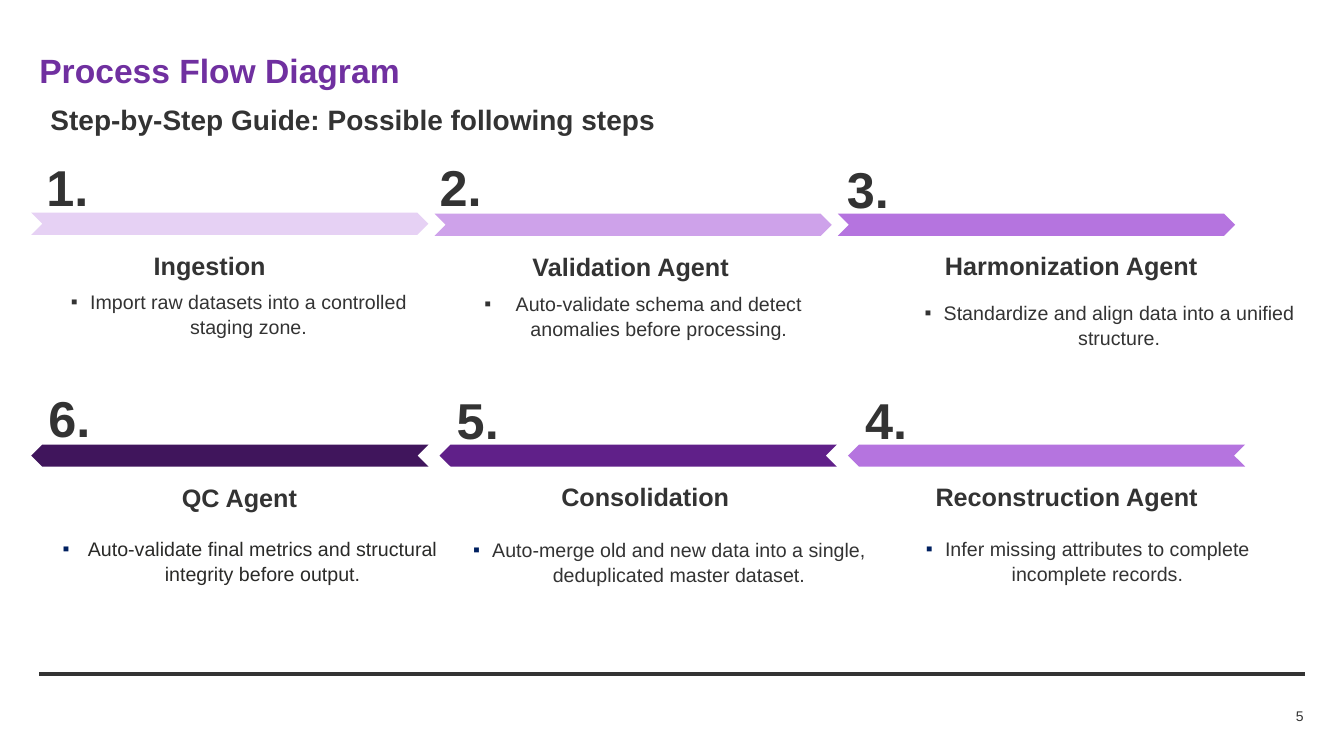
from dataclasses import dataclass

from lxml import etree
from pptx import Presentation
from pptx import util as u
from pptx.dml.color import RGBColor
from pptx.enum import shapes, text
from pptx.oxml import ns

PX = 9144  # EMU per px, 100 px to the inch
FONT = "Arial"
INK = "333333"
NAVY = "002060"
LEFT, MID, RIGHT = text.PP_ALIGN.LEFT, text.PP_ALIGN.CENTER, text.PP_ALIGN.RIGHT
Box = tuple[int, int, int, int]


@dataclass
class Step:
    num: str
    num_at: tuple[int, int]
    head: str
    head_box: Box
    note: str
    note_box: Box
    bar_at: tuple[int, int]
    fill: str
    back: bool = False
    dent: int = 19
    align: text.PP_ALIGN = MID
    ink: str = INK


STEPS = [
    Step("1.", (46, 151), "Ingestion", (48, 247, 320, 30),
         "Import raw datasets into a controlled staging zone.",
         (46, 281, 382, 57), (31, 211), "E6D1F4"),
    Step("2.", (436, 151), "Validation Agent", (528, 248, 338, 30),
         "Auto-validate schema and detect anomalies before processing.",
         (436, 283, 404, 57), (431, 212), "CEA2EA", dent=31, align=LEFT),
    Step("3.", (840, 153), "Harmonization Agent", (831, 247, 463, 30),
         "Standardize and align data into a unified structure.",
         (869, 292, 463, 57), (831, 212), "B574DF"),
    Step("4.", (858, 382), "Reconstruction Agent", (848, 476, 420, 30),
         "Infer missing attributes to complete incomplete records.",
         (890, 526, 378, 57), (841, 441), "B574DF", back=True),
    Step("5.", (453, 382), "Consolidation", (455, 476, 370, 30),
         "Auto-merge old and new data into a single, deduplicated master dataset.",
         (455, 527, 418, 57), (436, 441), "602089", back=True),
    Step("6.", (48, 380), "QC Agent", (48, 477, 379, 30),
         "Auto-validate final metrics and structural integrity before output.",
         (39, 526, 418, 57), (31, 441), "40155C", back=True, dent=25, ink="2A2A28"),
]


def px(*vals: int) -> list[u.Emu]:
    return [u.Emu(v * PX) for v in vals]


def tint(part, code: str) -> None:
    """Colour a font, or a fill that is already solid."""
    color = part.color if hasattr(part, "color") else part.fore_color
    color.rgb = RGBColor.from_string(code)


def style(para, size: int, code: str, bold: bool, align: text.PP_ALIGN) -> None:
    para.alignment = align
    for run in para.runs:
        run.font.name, run.font.size, run.font.bold = FONT, u.Pt(size), bold
        tint(run.font, code)


def trim(frame) -> None:
    frame.margin_left = frame.margin_right = 0
    frame.margin_top = frame.margin_bottom = 0


def label(slide, box: Box, words: str, size: int, code: str = INK,
          bold: bool = True, align: text.PP_ALIGN = LEFT, inset: bool = False):
    frame = slide.shapes.add_textbox(*px(*box)).text_frame
    frame.word_wrap = True
    frame.auto_size = text.MSO_AUTO_SIZE.SHAPE_TO_FIT_TEXT
    if not inset:
        trim(frame)
    frame.text = words
    para = frame.paragraphs[0]
    para.line_spacing = 1.06
    style(para, size, code, bold, align)
    return frame


def bullet(para, dent: int, code: str) -> None:
    props = para._p.get_or_add_pPr()
    props.set("marL", str(dent * PX))
    props.set("indent", str(-dent * PX))
    color = etree.SubElement(props, ns.qn("a:buClr"))
    etree.SubElement(color, ns.qn("a:srgbClr"), val=code)
    etree.SubElement(props, ns.qn("a:buFont"), typeface=FONT)
    etree.SubElement(props, ns.qn("a:buChar"), char="▪")


def draw(slide, step: Step) -> None:
    bar = slide.shapes.add_shape(shapes.MSO_SHAPE.CHEVRON, *px(*step.bar_at, 394, 22))
    bar.shadow.inherit = False
    bar.fill.solid()
    tint(bar.fill, step.fill)
    bar.line.fill.background()
    bar.rotation = 180 if step.back else 0

    label(slide, (*step.num_at, 245, 61), step.num, 36)
    label(slide, step.head_box, step.head, 18, align=step.align)
    note = label(slide, step.note_box, step.note, 14, step.ink,
                 bold=False, align=MID, inset=True)
    bullet(note.paragraphs[0], step.dent, NAVY if step.back else INK)


def main() -> None:
    deck = Presentation()
    deck.slide_width, deck.slide_height = px(1333, 750)
    slide = deck.slides.add_slide(deck.slide_layouts[5])

    # Footer rule and page number
    rule = slide.shapes.add_connector(shapes.MSO_CONNECTOR.STRAIGHT,
                                      *px(39, 669, 1294, 669))
    tint(rule.line, INK)
    rule.line.width = u.Pt(3)
    etree.SubElement(rule._element.spPr, ns.qn("a:effectLst"))
    page = label(slide, (1187, 699, 106, 22), "5", 10, bold=False, align=RIGHT)
    page.auto_size = text.MSO_AUTO_SIZE.NONE
    page.vertical_anchor = text.MSO_ANCHOR.MIDDLE

    # Title and subtitle
    title = slide.shapes.title
    title.left, title.top, title.width, title.height = px(39, 47, 1254, 44)
    frame = title.text_frame
    frame.text = "Process Flow Diagram"
    frame.word_wrap = True
    frame.auto_size = text.MSO_AUTO_SIZE.NONE
    frame.vertical_anchor = text.MSO_ANCHOR.MIDDLE
    trim(frame)
    style(frame.paragraphs[0], 24, "7030A0", True, LEFT)
    label(slide, (50, 100, 1125, 34),
          "Step-by-Step Guide: Possible following steps", 20)

    # Process steps
    for step in STEPS:
        draw(slide, step)

    deck.save("out.pptx")


if __name__ == "__main__":
    main()
